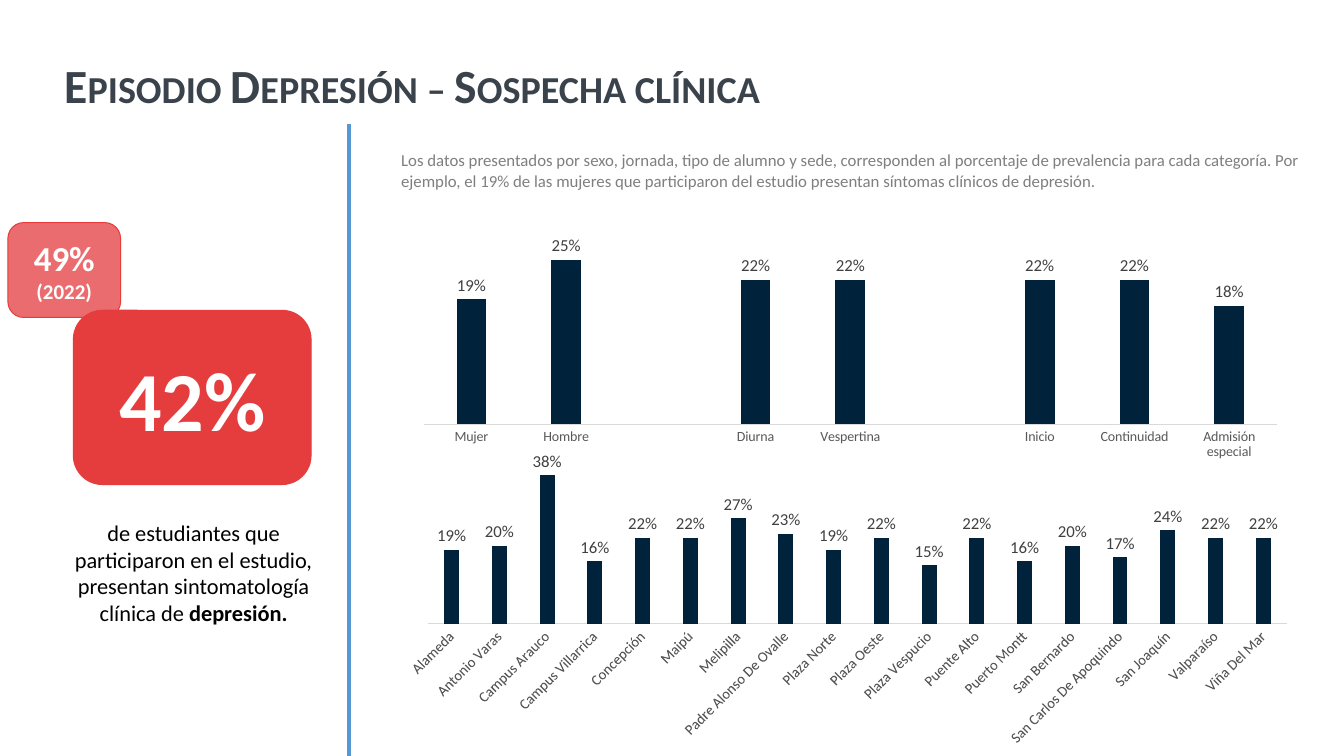
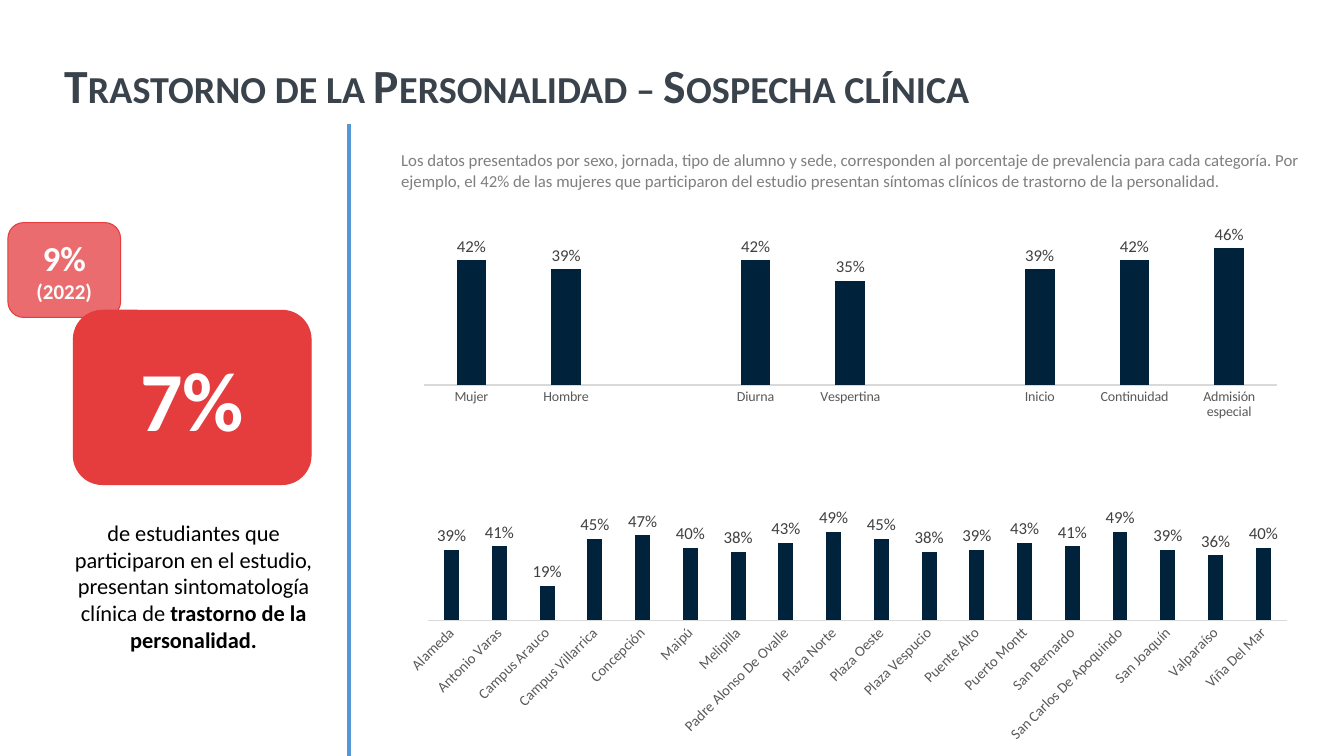
from lxml.etree import SubElement
from pptx import Presentation
from pptx.chart.data import CategoryChartData
from pptx.dml.color import RGBColor
from pptx.enum.chart import XL_CHART_TYPE, XL_LABEL_POSITION, XL_TICK_MARK
from pptx.enum.shapes import MSO_CONNECTOR, MSO_SHAPE
from pptx.enum.text import MSO_ANCHOR, MSO_AUTO_SIZE, PP_ALIGN
from pptx.oxml import parse_xml
from pptx.oxml.ns import nsdecls, qn
from pptx.util import Cm, Pt

FONT = "Calibri"
RED = "E53C3E"
NAVY = "00223A"
BLUE = "5698D3"
WHITE = "FFFFFF"
BLACK = "000000"
TITLE_GRAY = "3A434C"
NOTE_GRAY = "7F7F7F"
LABEL_GRAY = "404040"
AXIS_GRAY = "595959"
LINE_GRAY = "D9D9D9"

GROUPS = ["Mujer", "Hombre", "", "Diurna", "Vespertina", "", "Inicio", "Continuidad", "Admisión especial"]
CAMPUSES = [
    "Alameda", "Antonio Varas", "Campus Arauco", "Campus Villarrica", "Concepción", "Maipú",
    "Melipilla", "Padre Alonso De Ovalle", "Plaza Norte", "Plaza Oeste", "Plaza Vespucio",
    "Puente Alto", "Puerto Montt", "San Bernardo", "San Carlos De Apoquindo", "San Joaquín",
    "Valparaíso", "Viña Del Mar",
]

TOPICS = [
    {
        "title": "Episodio Depresión – Sospecha clínica",
        "condition": "depresión",
        "current": "42%",
        "previous": "49%",
        "women": "19%",
        "text_height": 3,
        "group_values": [0.19, 0.25, None, 0.22, 0.22, None, 0.22, 0.22, 0.18],
        "group_height": 6.07,
        "group_maximum": 0.3,
        "group_plot": (0.02, 0.01, 0.96, 0.82),
        "campus_values": [0.19, 0.2, 0.38, 0.16, 0.22, 0.22, 0.27, 0.23, 0.19,
                          0.22, 0.15, 0.22, 0.16, 0.2, 0.17, 0.24, 0.22, 0.22],
        "campus_maximum": 0.4,
        "campus_plot": (0.04, 0.05, 0.94, 0.52),
    },
    {
        "title": "Trastorno de la Personalidad – Sospecha clínica",
        "condition": "trastorno de la personalidad",
        "current": "7%",
        "previous": "9%",
        "women": "42%",
        "text_height": 3.68,
        "group_values": [0.42, 0.39, None, 0.42, 0.35, None, 0.39, 0.42, 0.46],
        "group_height": 4.98,
        "group_maximum": 0.5,
        "group_plot": (0.02, 0.05, 0.96, 0.76),
        "campus_values": [0.39, 0.41, 0.19, 0.45, 0.47, 0.4, 0.38, 0.43, 0.49,
                          0.45, 0.38, 0.39, 0.43, 0.41, 0.49, 0.39, 0.36, 0.4],
        "campus_maximum": 0.9,
        "campus_plot": (0.04, 0.02, 0.94, 0.54),
    },
]


def color(hex_string):
    return RGBColor.from_string(hex_string)


def write_text(paragraph, text, size, hex_color, bold=False, small_caps=False, align=PP_ALIGN.LEFT):
    paragraph.alignment = align
    run = paragraph.add_run()
    run.text = text
    run.font.name = FONT
    run.font.size = Pt(size)
    run.font.bold = bold
    run.font.color.rgb = color(hex_color)
    if small_caps:
        run.font._element.set("cap", "small")


presentation = Presentation()
presentation.slide_width = Cm(33.87)
presentation.slide_height = Cm(19.05)
layout = presentation.slide_layouts[5]

for topic in TOPICS:
    slide = presentation.slides.add_slide(layout)
    shapes = slide.shapes

    title = shapes.title
    title.left, title.top, title.width, title.height = Cm(1.37), Cm(1.02), Cm(32.33), Cm(2.39)
    title.text_frame.auto_size = MSO_AUTO_SIZE.NONE
    title.text_frame.vertical_anchor = MSO_ANCHOR.MIDDLE
    title_paragraph = title.text_frame.paragraphs[0]
    title_paragraph.line_spacing = 0.9
    write_text(title_paragraph, topic["title"], 34, TITLE_GRAY, bold=True, small_caps=True)

    divider = shapes.add_connector(MSO_CONNECTOR.STRAIGHT, Cm(8.79), Cm(3.12), Cm(8.79), Cm(19.05))
    divider.line.color.rgb = color(BLUE)
    divider.line.width = Pt(3)
    SubElement(divider._element.spPr, qn("a:effectLst"))

    note = (
        "Los datos presentados por sexo, jornada, tipo de alumno y sede, corresponden al porcentaje "
        f"de prevalencia para cada categoría. Por ejemplo, el {topic['women']} de las mujeres que "
        f"participaron del estudio presentan síntomas clínicos de {topic['condition']}."
    )
    finding = "de estudiantes que participaron en el estudio, presentan sintomatología clínica de "
    text_boxes = [
        (9.86, 3.66, 23.52, 1.27, PP_ALIGN.LEFT, [(note, 12, NOTE_GRAY, False)]),
        (1.63, 12.95, 6.5, topic["text_height"], PP_ALIGN.CENTER,
         [(finding, 16, BLACK, False), (topic["condition"] + ".", 16, BLACK, True)]),
    ]
    for left, top, width, height, align, runs in text_boxes:
        text_box = shapes.add_textbox(Cm(left), Cm(top), Cm(width), Cm(height))
        text_box.text_frame.word_wrap = True
        text_box.text_frame.auto_size = MSO_AUTO_SIZE.SHAPE_TO_FIT_TEXT
        for text, size, hex_color, bold in runs:
            write_text(text_box.text_frame.paragraphs[0], text, size, hex_color, bold=bold, align=align)

    charts = [
        (9.86, 11.38, 23.04, 7.6, CAMPUSES, topic["campus_values"],
         topic["campus_maximum"], topic["campus_plot"], 10.5, -45),
        (10.24, 5.66, 22.38, topic["group_height"], GROUPS, topic["group_values"],
         topic["group_maximum"], topic["group_plot"], 10, 0),
    ]
    for left, top, width, height, categories, values, maximum, plot_box, axis_size, rotation in charts:
        chart_data = CategoryChartData(number_format="0%")
        chart_data.categories = categories
        chart_data.add_series("Prevalencia", values)
        chart = shapes.add_chart(
            XL_CHART_TYPE.COLUMN_CLUSTERED, Cm(left), Cm(top), Cm(width), Cm(height), chart_data
        ).chart
        chart.has_legend = False
        chart.has_title = False
        chart.font.name = FONT
        chart.font.size = Pt(axis_size)

        value_axis = chart.value_axis
        value_axis.minimum_scale = 0
        value_axis.maximum_scale = maximum
        value_axis.has_major_gridlines = False
        value_axis.visible = False

        category_axis = chart.category_axis
        category_axis.major_tick_mark = XL_TICK_MARK.NONE
        category_axis.format.line.color.rgb = color(LINE_GRAY)
        category_axis.format.line.width = Pt(0.75)
        category_axis.tick_labels.font.name = FONT
        category_axis.tick_labels.font.size = Pt(axis_size)
        category_axis.tick_labels.font.color.rgb = color(AXIS_GRAY)
        axis_body = category_axis._element.find(qn("c:txPr")).find(qn("a:bodyPr"))
        axis_body.set("rot", str(rotation * 60000))

        plot = chart.plots[0]
        plot.vary_by_categories = False
        plot.gap_width = 219
        plot.overlap = -27
        series = plot.series[0]
        series.format.fill.solid()
        series.format.fill.fore_color.rgb = color(NAVY)
        labels = series.data_labels
        labels.show_value = True
        labels.position = XL_LABEL_POSITION.OUTSIDE_END
        labels.number_format = "0%"
        labels.number_format_is_linked = False
        labels.font.name = FONT
        labels.font.size = Pt(12)
        labels.font.color.rgb = color(LABEL_GRAY)

        plot_area = chart._chartSpace.chart.plotArea
        for old_layout in plot_area.findall(qn("c:layout")):
            plot_area.remove(old_layout)
        x, y, plot_width, plot_height = plot_box
        plot_area.insert(0, parse_xml(
            f'<c:layout {nsdecls("c")}><c:manualLayout><c:layoutTarget val="inner"/>'
            f'<c:xMode val="edge"/><c:yMode val="edge"/><c:x val="{x}"/><c:y val="{y}"/>'
            f'<c:w val="{plot_width}"/><c:h val="{plot_height}"/></c:manualLayout></c:layout>'
        ))

    cards = [
        (1.85, 7.82, 5.99, 4.39, 100, [(topic["current"], 60)]),
        (0.2, 5.61, 2.84, 2.39, 75, [(topic["previous"], 25), ("(2022)", 15)]),
    ]
    for left, top, width, height, opacity, lines in cards:
        card = shapes.add_shape(MSO_SHAPE.ROUNDED_RECTANGLE, Cm(left), Cm(top), Cm(width), Cm(height))
        card.shadow.inherit = False
        card.fill.solid()
        card.fill.fore_color.rgb = color(RED)
        card.line.color.rgb = color(RED)
        card.line.width = Pt(0.75)
        if opacity < 100:
            fill_color = card._element.spPr.find(qn("a:solidFill")).find(qn("a:srgbClr"))
            SubElement(fill_color, qn("a:alpha")).set("val", str(opacity * 1000))
        frame = card.text_frame
        frame.word_wrap = True
        frame.vertical_anchor = MSO_ANCHOR.MIDDLE
        for index, (text, size) in enumerate(lines):
            paragraph = frame.add_paragraph() if index else frame.paragraphs[0]
            write_text(paragraph, text, size, WHITE, bold=True, align=PP_ALIGN.CENTER)

presentation.save("out.pptx")
